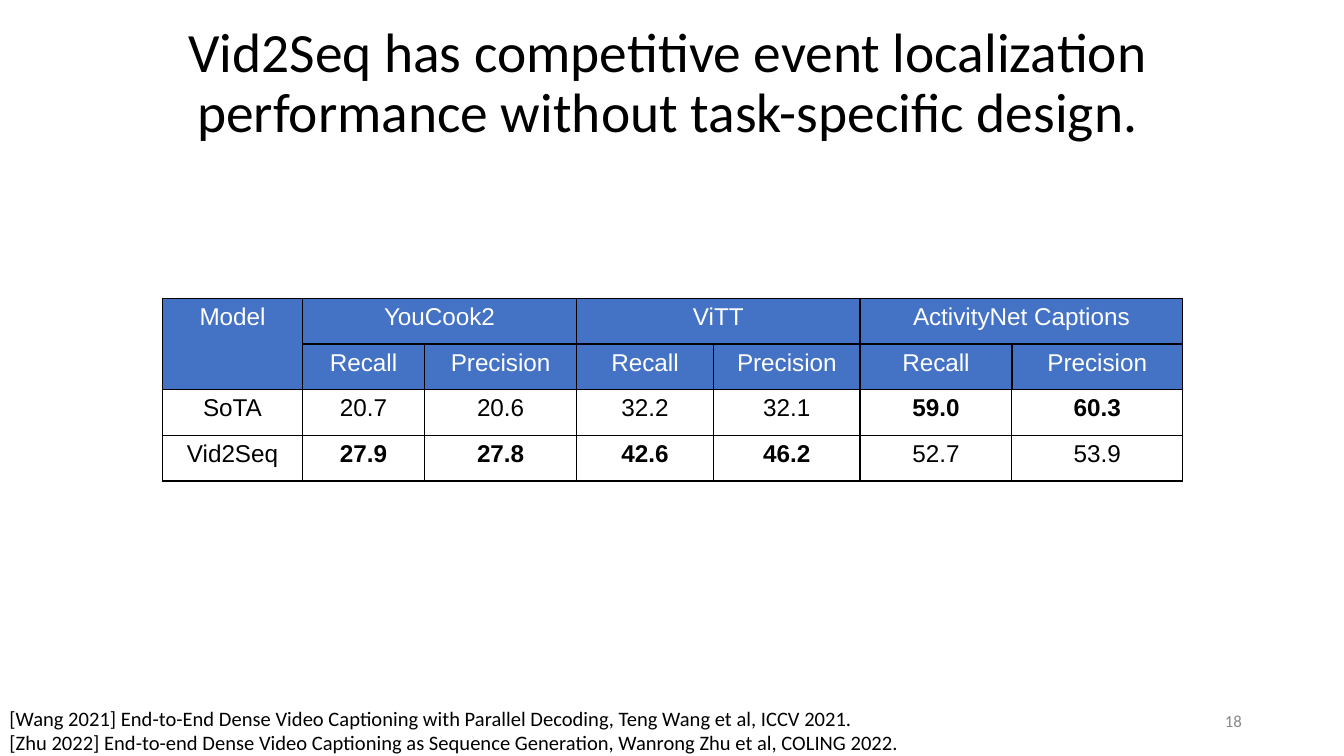
from dataclasses import dataclass

from lxml import etree
from pptx import Presentation
from pptx.dml.color import RGBColor
from pptx.enum.text import MSO_ANCHOR as Anchor, PP_ALIGN as Align
from pptx.oxml.ns import qn
from pptx.util import Inches, Pt


@dataclass(frozen=True)
class Theme:
    ink: str = "000000"
    paper: str = "FFFFFF"
    header: str = "4472C4"
    muted: str = "888888"
    text_font: str = "Calibri"
    table_font: str = "Arial"
    title_size: float = 29.7
    table_size: float = 13
    reference_size: float = 11
    number_size: float = 9
    thin: float = 0.75
    thick: float = 1


THEME = Theme()

TITLE = "Vid2Seq has competitive event localization performance without task-specific design."
REFERENCES = [
    "[Wang 2021] End-to-End Dense Video Captioning with Parallel Decoding, Teng Wang et al, ICCV 2021.",
    "[Zhu 2022] End-to-end Dense Video Captioning as Sequence Generation, Wanrong Zhu et al, COLING 2022.",
]
DATASETS = ["YouCook2", "ViTT", "ActivityNet Captions"]
METRICS = ["Recall", "Precision"]
SCORES = {
    "SoTA": [20.7, 20.6, 32.2, 32.1, 59.0, 60.3],
    "Vid2Seq": [27.9, 27.8, 42.6, 46.2, 52.7, 53.9],
}
COLUMN_WIDTHS = [1.04, 0.91, 1.13, 1.02, 1.09, 1.13, 1.27]
ROW_HEIGHT = 0.34
HEADER_ROWS = 2


def write(frame, *lines, size, font=THEME.text_font, color=THEME.ink,
          bold=False, align=Align.LEFT, spacing=None):
    """Fill a text frame with one paragraph for each line."""
    for index, line in enumerate(lines):
        para = frame.paragraphs[0] if index == 0 else frame.add_paragraph()
        para.alignment = align
        if spacing:
            para.line_spacing = spacing
        span = para.add_run()
        span.text = line
        span.font.name = font
        span.font.size = Pt(size)
        span.font.bold = bold
        span.font.color.rgb = RGBColor.from_string(color)


def add_text(page, box, *lines, anchor=Anchor.TOP, **style):
    """Place a wrapped text box at (left, top, width, height)."""
    frame = page.shapes.add_textbox(*map(Inches, box)).text_frame
    frame.word_wrap = True
    frame.vertical_anchor = anchor
    frame.margin_left = frame.margin_right = Inches(0.07)
    frame.margin_top = frame.margin_bottom = Inches(0.04)
    write(frame, *lines, **style)


def set_borders(cell, **widths):
    """Draw the cell's sides, given in the order L, R, T, B."""
    properties = cell._tc.get_or_add_tcPr()
    for side, width in widths.items():
        line = etree.SubElement(properties, qn(f"a:ln{side}"), w=str(Pt(width)))
        fill = etree.SubElement(line, qn("a:solidFill"))
        etree.SubElement(fill, qn("a:srgbClr"), val=THEME.ink)


def fill_cell(cell, text, is_header, bold=False):
    cell.margin_left = cell.margin_right = Inches(0.08)
    cell.margin_top = cell.margin_bottom = Inches(0.04)
    write(cell.text_frame, text, size=THEME.table_size, font=THEME.table_font,
          color=THEME.paper if is_header else THEME.ink, bold=bold, align=Align.CENTER)


def add_score_table(page, left, top):
    row_count, column_count = HEADER_ROWS + len(SCORES), len(COLUMN_WIDTHS)
    table = page.shapes.add_table(
        row_count, column_count, Inches(left), Inches(top),
        Inches(sum(COLUMN_WIDTHS)), Inches(ROW_HEIGHT * row_count)).table
    table.first_row = table.horz_banding = False
    for column, width in zip(table.columns, COLUMN_WIDTHS):
        column.width = Inches(width)

    # Borders and fills: inner header lines are slightly heavier
    for row in range(row_count):
        table.rows[row].height = Inches(ROW_HEIGHT)
        is_header = row < HEADER_ROWS
        inner = THEME.thick if is_header else THEME.thin
        for column in range(column_count):
            cell = table.cell(row, column)
            set_borders(
                cell,
                L=inner if column else THEME.thin,
                R=inner if column < column_count - 1 else THEME.thin,
                T=THEME.thick if row == 1 and column else THEME.thin,
                B=THEME.thick if row == 0 and column else THEME.thin)
            if is_header:
                cell.fill.solid()
                cell.fill.fore_color.rgb = RGBColor.from_string(THEME.header)
            else:
                cell.fill.background()

    # Two header rows: each dataset spans its metrics
    table.cell(0, 0).merge(table.cell(HEADER_ROWS - 1, 0))
    fill_cell(table.cell(0, 0), "Model", True)
    for group, dataset in enumerate(DATASETS):
        first = 1 + group * len(METRICS)
        table.cell(0, first).merge(table.cell(0, first + len(METRICS) - 1))
        fill_cell(table.cell(0, first), dataset, True)
        for offset, metric in enumerate(METRICS):
            fill_cell(table.cell(1, first + offset), metric, True)

    # Scores, with the best of each column in bold
    best = [max(column) for column in zip(*SCORES.values())]
    for row, (model, scores) in enumerate(SCORES.items(), HEADER_ROWS):
        fill_cell(table.cell(row, 0), model, False)
        for column, (score, top_score) in enumerate(zip(scores, best), 1):
            fill_cell(table.cell(row, column), f"{score:.1f}", False, bold=score == top_score)


def add_footer(page, left, top):
    add_text(page, (left, top, 9.83, 0.43), *REFERENCES, size=THEME.reference_size)
    add_text(page, (left + 7.06, top, 2.25, 0.3), "18", anchor=Anchor.MIDDLE,
             size=THEME.number_size, color=THEME.muted, align=Align.RIGHT)


def main():
    deck = Presentation()
    deck.slide_width = Inches(10)
    deck.slide_height = deck.slide_width * 9 // 16
    page = deck.slides.add_slide(deck.slide_layouts[6])
    add_text(page, (0.52, 0.22, 8.9, 0.82), TITLE, anchor=Anchor.MIDDLE,
             size=THEME.title_size, align=Align.CENTER, spacing=0.9)
    add_score_table(page, 1.21, 2.22)
    add_footer(page, 0, 5.21)
    deck.save("out.pptx")


if __name__ == "__main__":
    main()
